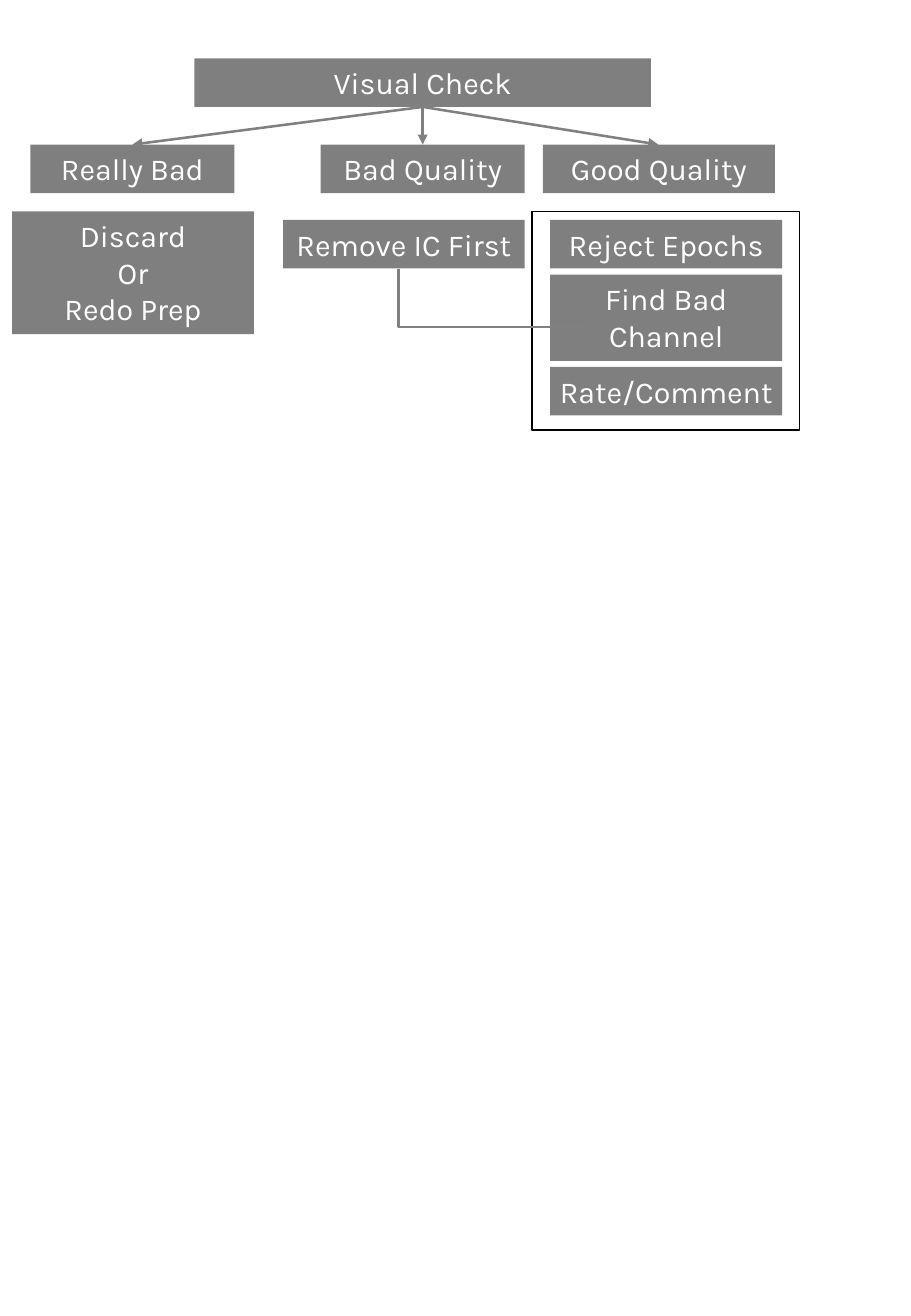
from lxml import etree
from pptx import Presentation
from pptx.dml.color import RGBColor
from pptx.enum.shapes import MSO_CONNECTOR, MSO_SHAPE
from pptx.enum.text import MSO_ANCHOR, PP_ALIGN
from pptx.oxml.ns import qn
from pptx.util import Pt

PX = 9144  # 100 px to the inch
RECT = MSO_SHAPE.RECTANGLE
STRAIGHT, ELBOW = MSO_CONNECTOR.STRAIGHT, MSO_CONNECTOR.ELBOW
CENTER, TOP = PP_ALIGN.CENTER, MSO_ANCHOR.TOP

ROW = 40  # height of a one-line box
FRAME = {"word_wrap": True, "vertical_anchor": TOP, "margin_left": 0, "margin_right": 0}
FONT = {"name": "Karla", "size": Pt(18)}
BLACK, WHITE, GREY = "000000", "FFFFFF", "808080"


def rgb(value):
    return RGBColor.from_string(value)


def px(*values):
    return [round(v * PX) for v in values]


def set_all(target, values):
    for key, value in values.items():
        setattr(target, key, value)


def add_box(slide, x, y, w, h, *lines):
    """Half-transparent black box with centred white lines."""
    sp = slide.shapes.add_shape(RECT, *px(x, y, w, h))
    sp.shadow.inherit = False
    sp.fill.solid()
    sp.fill.fore_color.rgb = rgb(BLACK)
    color = sp._element.spPr.find(qn("a:solidFill"))[0]
    etree.SubElement(color, qn("a:alpha"), val="50000")
    sp.line.fill.background()
    tf = sp.text_frame
    set_all(tf, FRAME)
    for i, line in enumerate(lines):
        p = tf.add_paragraph() if i else tf.paragraphs[0]
        p.alignment = CENTER
        r = p.add_run()
        r.text = line
        set_all(r.font, FONT)
        r.font.color.rgb = rgb(WHITE)


def add_arrow(slide, kind, x1, y1, x2, y2):
    line = slide.shapes.add_connector(kind, *px(x1, y1, x2, y2))
    line.line.color.rgb = rgb(GREY)
    line.line.width = Pt(1.5)
    etree.SubElement(line.line._get_or_add_ln(), qn("a:tailEnd"), type="triangle")
    etree.SubElement(line._element.spPr, qn("a:effectLst"))
    return line


def add_down_right_arrow(slide, x1, y1, x2, y2):
    """One-corner arrow: down first, then right (a quarter-turned elbow)."""
    cx, cy = (x1 + x2) / 2, (y1 + y2) / 2
    half_w, half_h = (y2 - y1) / 2, (x2 - x1) / 2
    line = add_arrow(slide, ELBOW, cx + half_w, cy - half_h, cx - half_w, cy + half_h)
    spPr = line._element.spPr
    spPr.find(qn("a:xfrm")).set("rot", "16200000")
    spPr.find(qn("a:prstGeom")).set("prst", "bentConnector2")


def add_root(slide, x, y, w, targets):
    """Starting check with an arrow to the top of each outcome."""
    add_box(slide, x, y, w, ROW, "Visual Check")
    for tx, ty in targets:
        add_arrow(slide, STRAIGHT, x + w // 2, y + ROW, tx, ty)


def add_really_bad(slide, x, y):
    add_box(slide, x + 15, y, 168, ROW, "Really Bad")
    add_box(slide, x, y + 55, 199, 101, "Discard", "Or", "Redo Prep")


def add_bad(slide, x, y):
    add_box(slide, x + 31, y, 168, ROW, "Bad Quality")
    add_box(slide, x, y + 62, 199, ROW, "Remove IC First")


def add_good(slide, x, y):
    """Good outcome above a framed stack of steps."""
    add_box(slide, x + 9, y, 191, ROW, "Good Quality")
    steps = [("Reject Epochs", ROW), ("Find Bad Channel", 71), ("Rate/Comment", ROW)]
    top = y + 62
    for text, h in steps:
        add_box(slide, x + 15, top, 191, h, text)
        top += h + 5
    frame = slide.shapes.add_shape(RECT, *px(x, y + 55, 220, 180))
    frame.shadow.inherit = False
    frame.fill.background()
    frame.line.color.rgb = rgb(BLACK)
    frame.line.width = Pt(0.75)


def main():
    prs = Presentation()
    prs.slide_width, prs.slide_height = px(750, 1083)
    slide = prs.slides.add_slide(prs.slide_layouts[6])

    # Outcomes
    y = 119
    add_really_bad(slide, 10, y)
    add_bad(slide, 233, y)
    add_good(slide, 438, y)

    # Check and arrows
    add_root(slide, 160, 48, 376, [(109, y), (348, y), (542, y)])
    add_down_right_arrow(slide, 328, 221, 486, 269)

    prs.save("out.pptx")


if __name__ == "__main__":
    main()
